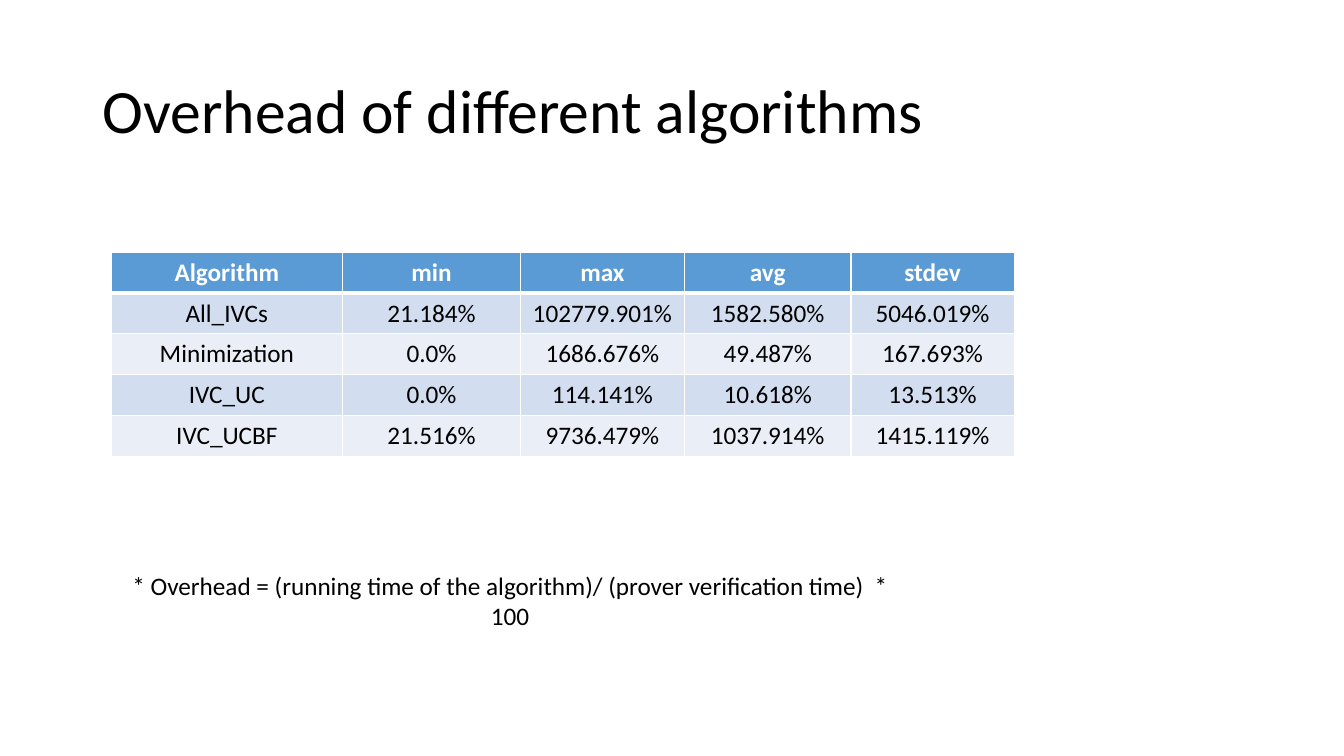
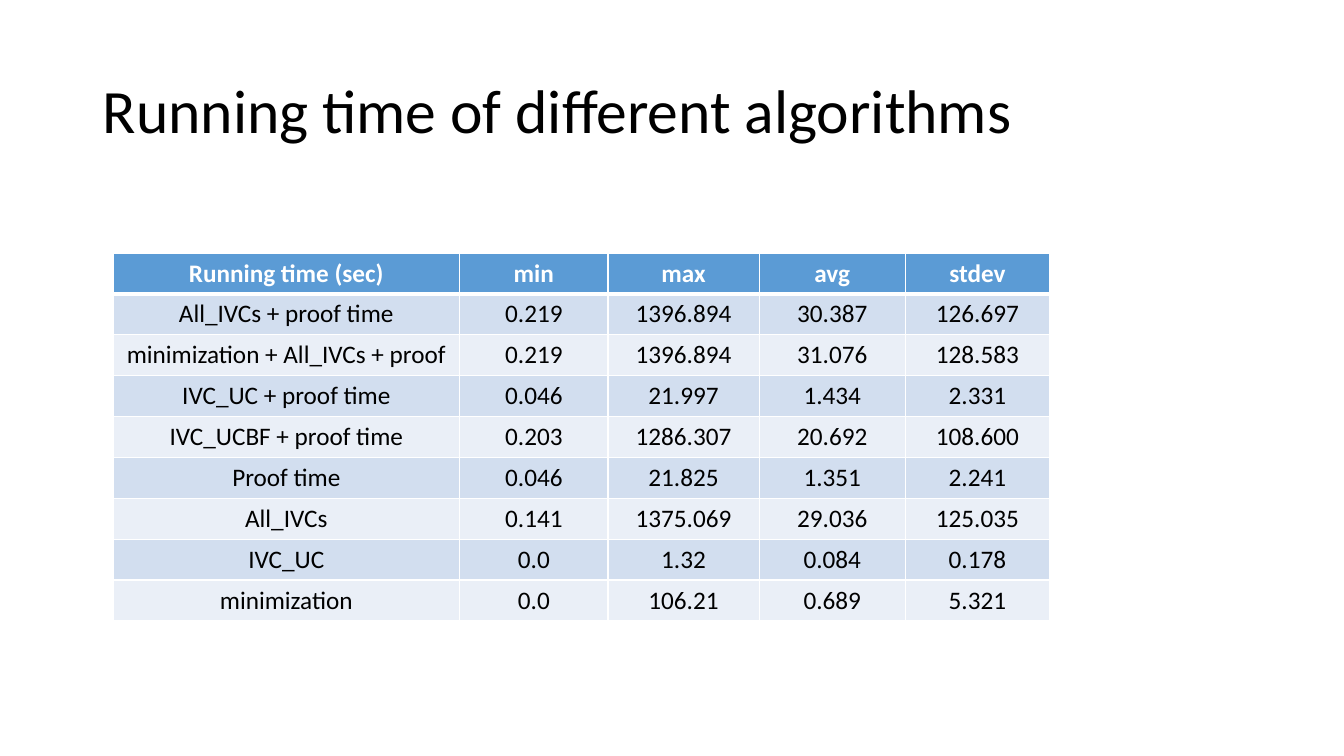
from dataclasses import dataclass

from lxml import etree
from pptx import Presentation
from pptx.dml.color import RGBColor
from pptx.enum.text import MSO_ANCHOR, MSO_AUTO_SIZE, PP_ALIGN
from pptx.oxml.ns import qn
from pptx.slide import Slide
from pptx.table import _Cell
from pptx.util import Inches, Pt

CENTER, LEFT = PP_ALIGN.CENTER, PP_ALIGN.LEFT
MIDDLE, TOP = MSO_ANCHOR.MIDDLE, MSO_ANCHOR.TOP
FIT_SHAPE = MSO_AUTO_SIZE.SHAPE_TO_FIT_TEXT
BLANK = 6


@dataclass(frozen=True)
class Theme:
    font: str = "Calibri"
    title_size: int = 44
    body_size: int = 18
    text: str = "000000"
    white: str = "FFFFFF"
    header: str = "5B9BD5"
    bands: tuple[str, str] = ("D2DEEF", "EAEFF7")
    rule: int = 1
    header_rule: int = 3


@dataclass(frozen=True)
class Box:
    left: float
    top: float
    width: float
    height: float

    def emu(self) -> tuple[int, ...]:
        return tuple(Inches(v) for v in (self.left, self.top, self.width, self.height))


@dataclass(frozen=True)
class ResultTable:
    box: Box
    widths: tuple[float, ...]
    rows: tuple[tuple[str, ...], ...]


@dataclass(frozen=True)
class ResultSlide:
    title: str
    table: ResultTable
    note: str = ""


THEME = Theme()
TITLE_BOX = Box(0.92, 0.4, 11.5, 1.45)
NOTE_BOX = Box(1.04, 5.61, 8.04, 0.4)
STATS = ("min", "max", "avg", "stdev")

SLIDES = (
    ResultSlide(
        "Overhead of different algorithms",
        ResultTable(
            Box(1.1, 2.5, 8.96, 2.03),
            (2.3, 1.76, 1.63, 1.65, 1.62),
            (
                ("Algorithm", *STATS),
                ("All_IVCs", "21.184%", "102779.901%", "1582.580%", "5046.019%"),
                ("Minimization", "0.0%", "1686.676%", "49.487%", "167.693%"),
                ("IVC_UC", "0.0%", "114.141%", "10.618%", "13.513%"),
                ("IVC_UCBF", "21.516%", "9736.479%", "1037.914%", "1415.119%"),
            ),
        ),
        "* Overhead = (running time of the algorithm)/ (prover verification time)  * 100",
    ),
    ResultSlide(
        "Running time of different algorithms",
        ResultTable(
            Box(1.12, 2.51, 9.3, 3.65),
            (3.44, 1.47, 1.5, 1.45, 1.43),
            (
                ("Running time (sec)", *STATS),
                ("All_IVCs + proof time", "0.219", "1396.894", "30.387", "126.697"),
                ("minimization + All_IVCs + proof", "0.219", "1396.894", "31.076", "128.583"),
                ("IVC_UC + proof time", "0.046", "21.997", "1.434", "2.331"),
                ("IVC_UCBF + proof time", "0.203", "1286.307", "20.692", "108.600"),
                ("Proof time", "0.046", "21.825", "1.351", "2.241"),
                ("All_IVCs", "0.141", "1375.069", "29.036", "125.035"),
                ("IVC_UC", "0.0", "1.32", "0.084", "0.178"),
                ("minimization", "0.0", "106.21", "0.689", "5.321"),
            ),
        ),
    ),
)


def write(tf, text: str, size: int, color: str, align: PP_ALIGN, bold: bool = False):
    """Fill a text frame with one styled paragraph and return it."""
    p = tf.paragraphs[0]
    p.text = text
    p.alignment = align
    p.font.name = THEME.font
    p.font.size = Pt(size)
    p.font.bold = bold
    p.font.color.rgb = RGBColor.from_string(color)
    return p


def add_title(s: Slide, text: str) -> None:
    tf = s.shapes.add_textbox(*TITLE_BOX.emu()).text_frame
    tf.word_wrap = True
    tf.vertical_anchor = MIDDLE
    write(tf, text, THEME.title_size, THEME.text, LEFT).line_spacing = 0.9


def add_note(s: Slide, text: str) -> None:
    tf = s.shapes.add_textbox(*NOTE_BOX.emu()).text_frame
    tf.word_wrap = False
    tf.auto_size = FIT_SHAPE
    tf.vertical_anchor = TOP
    write(tf, text, THEME.body_size, THEME.text, CENTER)


def set_borders(cell: _Cell, top: int, bottom: int) -> None:
    """Draw white cell borders; they must come before the fill in the XML."""
    tc_pr = cell._tc.get_or_add_tcPr()
    edges = (("lnL", THEME.rule), ("lnR", THEME.rule), ("lnT", top), ("lnB", bottom))
    for i, (tag, width) in enumerate(edges):
        ln = etree.Element(qn(f"a:{tag}"), w=str(Pt(width)))
        fill = etree.SubElement(ln, qn("a:solidFill"))
        etree.SubElement(fill, qn("a:srgbClr"), val=THEME.white)
        tc_pr.insert(i, ln)


def add_result_table(s: Slide, spec: ResultTable) -> None:
    shape = s.shapes.add_table(len(spec.rows), len(spec.widths), *spec.box.emu())
    table = shape.table
    table.horz_banding = False
    for column, width in zip(table.columns, spec.widths):
        column.width = Inches(width)

    for r, values in enumerate(spec.rows):
        is_header = r == 0
        fill = THEME.header if is_header else THEME.bands[(r - 1) % 2]
        color = THEME.white if is_header else THEME.text
        top = THEME.header_rule if r == 1 else THEME.rule
        bottom = THEME.header_rule if is_header else THEME.rule
        for c, value in enumerate(values):
            cell = table.cell(r, c)
            cell.vertical_anchor = MIDDLE
            cell.fill.solid()
            cell.fill.fore_color.rgb = RGBColor.from_string(fill)
            set_borders(cell, top, bottom)
            write(cell.text_frame, value, THEME.body_size, color, CENTER, is_header)


def main() -> None:
    prs = Presentation()
    prs.slide_width, prs.slide_height = Inches(13.33), Inches(7.5)
    for content in SLIDES:
        s = prs.slides.add_slide(prs.slide_layouts[BLANK])
        add_title(s, content.title)
        add_result_table(s, content.table)
        if content.note:
            add_note(s, content.note)
    prs.save("out.pptx")


if __name__ == "__main__":
    main()
